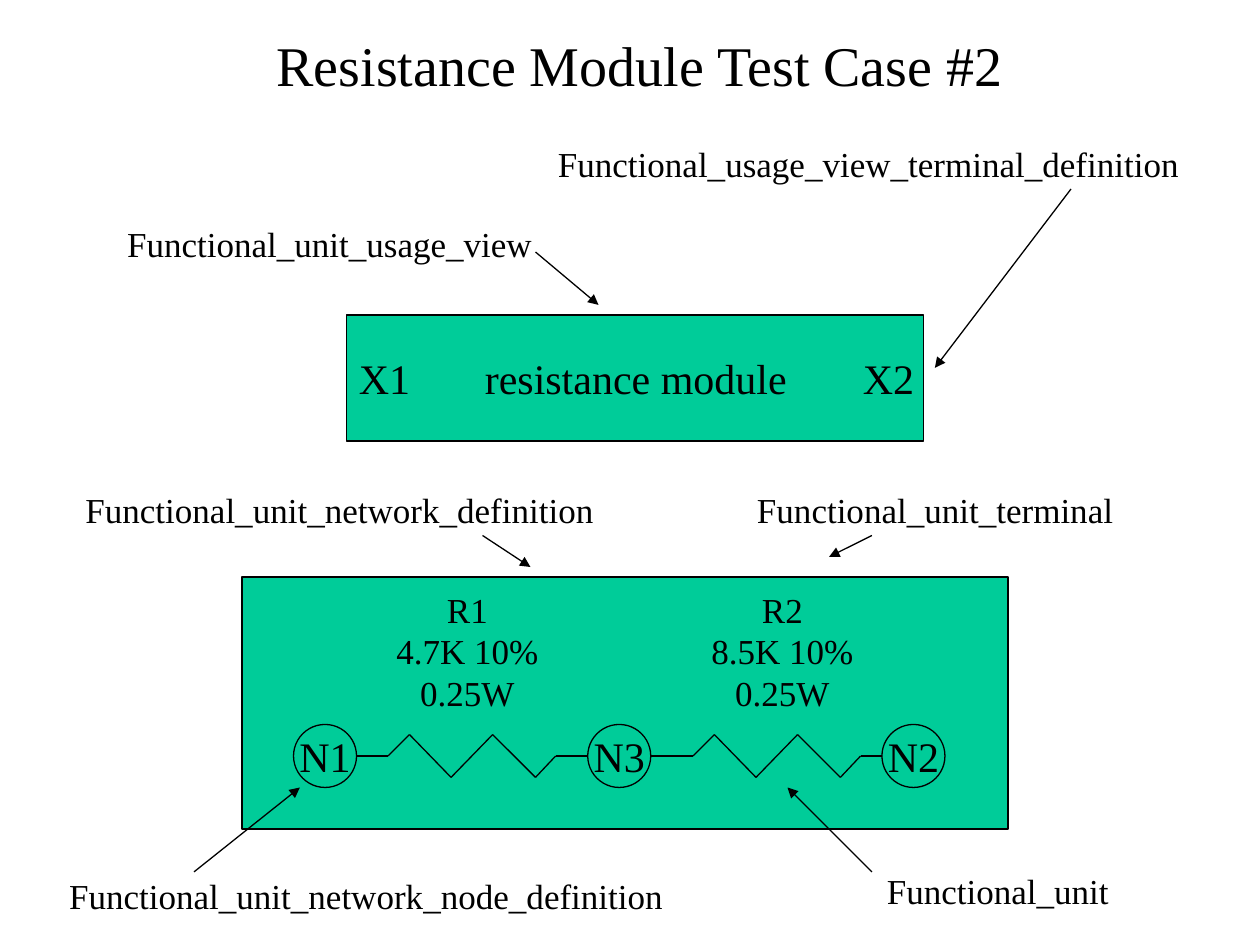
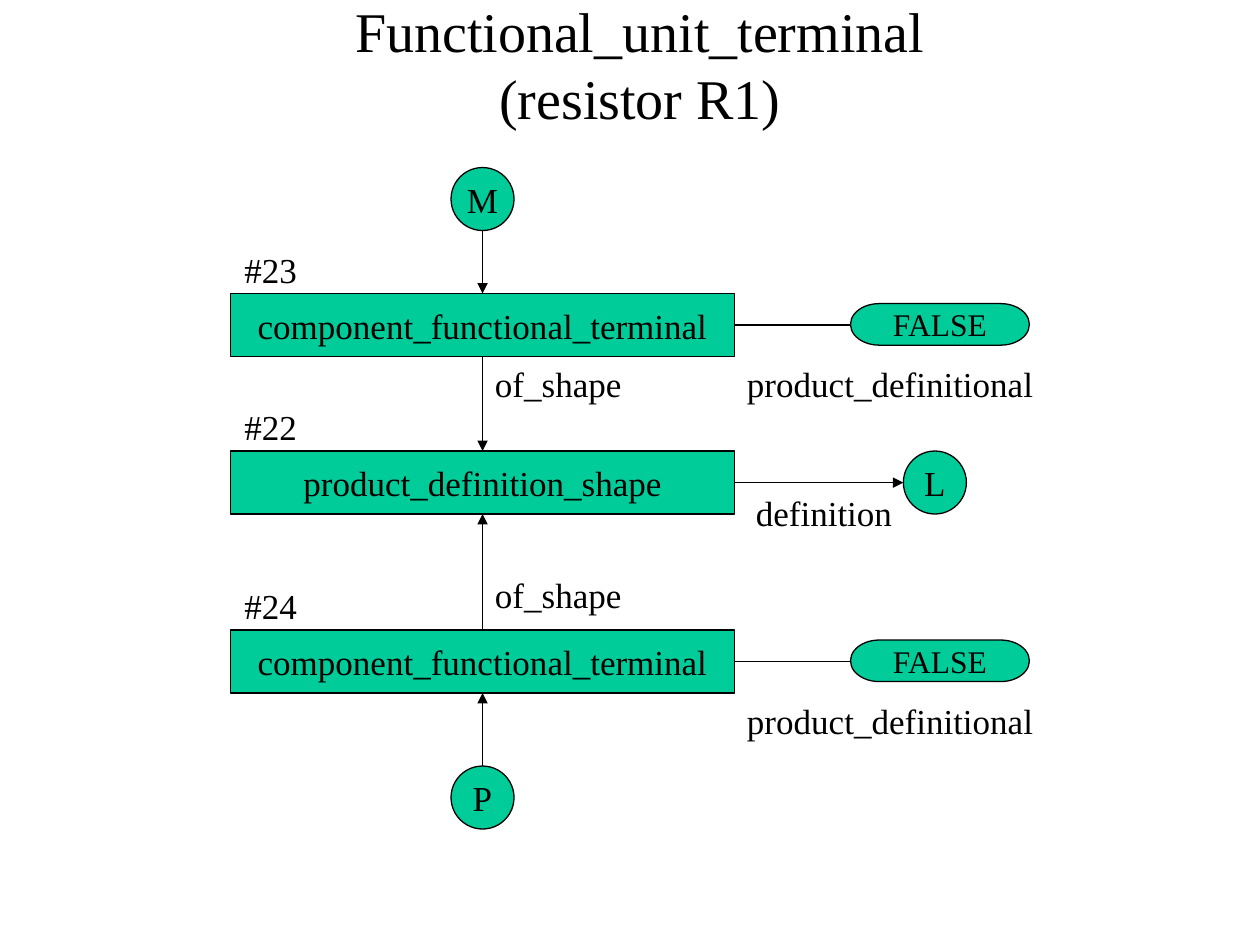
import copy
import itertools

import pptx
import pptx.dml.color
import pptx.enum.shapes
import pptx.enum.text
import pptx.oxml.ns
import pptx.oxml.xmlchemy
import pptx.util
from pptx.util import Inches

HUES = {"ink": "000000", "fill": "00CC99", "page": "FFFFFF"}
FONT = "Times New Roman"
SLACK = 0.04  # keeps a label from breaking at its last letter
KINDS = pptx.enum.shapes.MSO_SHAPE
ALIGN = pptx.enum.text.PP_ALIGN
FIT = pptx.enum.text.MSO_AUTO_SIZE
MIDDLE = pptx.enum.text.MSO_ANCHOR.MIDDLE
TOP = pptx.enum.text.MSO_ANCHOR.TOP


def hue(name):
    return pptx.dml.color.RGBColor.from_string(HUES[name])


def write(frame, text, size=20, align=ALIGN.LEFT, anchor=TOP, wrap=False,
          fit=FIT.NONE, pad=0.05):
    """Fill a text frame with one formatted paragraph."""
    frame.word_wrap = wrap
    frame.auto_size = fit
    frame.vertical_anchor = anchor
    frame.margin_left = frame.margin_right = Inches(0.1)
    frame.margin_top = frame.margin_bottom = Inches(pad)
    line = frame.paragraphs[0]
    line.text = text
    line.alignment = align
    for run in line.runs:
        run.font.name = FONT
        run.font.size = pptx.util.Pt(size)
        run.font.color.rgb = hue("ink")
    # Line breaks take the format of the text around them
    for gap in line._p.findall(pptx.oxml.ns.qn("a:br")):
        gap.insert(0, copy.deepcopy(line.runs[0]._r.rPr))


class Deck:
    """Shared style and the slide being drawn."""

    def __init__(self):
        self.show = pptx.Presentation()
        self.show.slide_width = Inches(10)
        self.show.slide_height = Inches(7.5)
        self.slide = None

    def start(self, title):
        self.slide = self.show.slides.add_slide(self.show.slide_layouts[5])
        back = self.slide.background.fill
        back.solid()
        back.fore_color.rgb = hue("page")
        head = self.slide.shapes.title
        head.left, head.top = Inches(0.83), Inches(0.17)
        head.width, head.height = Inches(8.5), Inches(0.67)
        write(head.text_frame, title, size=32, align=ALIGN.CENTER,
              anchor=MIDDLE, wrap=True)

    def block(self, kind, left, top, width, height, text="", size=20):
        shape = self.slide.shapes.add_shape(
            kind, Inches(left), Inches(top), Inches(width), Inches(height))
        shape.shadow.inherit = False
        shape.fill.solid()
        shape.fill.fore_color.rgb = hue("fill")
        shape.line.color.rgb = hue("ink")
        shape.line.width = pptx.util.Pt(0.75)
        if text:
            write(shape.text_frame, text, size=size, align=ALIGN.CENTER,
                  anchor=MIDDLE)

    def node(self, left, top, text, size=20):
        self.block(KINDS.FLOWCHART_CONNECTOR, left, top, 0.5, 0.5, text, size)

    def label(self, text, left, top, width, height=0.44, **style):
        if not style.get("wrap"):
            width += SLACK
        box = self.slide.shapes.add_textbox(
            Inches(left), Inches(top), Inches(width), Inches(height))
        write(box.text_frame, text, **{"fit": FIT.SHAPE_TO_FIT_TEXT, **style})

    def line(self, start, end, arrow=False):
        link = self.slide.shapes.add_connector(
            pptx.enum.shapes.MSO_CONNECTOR.STRAIGHT,
            *map(Inches, (*start, *end)))
        link.line.color.rgb = hue("ink")
        link.line.width = pptx.util.Pt(0.75)
        props = link._element.spPr
        if arrow:
            tip = pptx.oxml.xmlchemy.OxmlElement("a:tailEnd")
            tip.set("type", "triangle")
            props.find(pptx.oxml.ns.qn("a:ln")).append(tip)
        props.append(pptx.oxml.xmlchemy.OxmlElement("a:effectLst"))

    def arrow(self, start, end):
        self.line(start, end, arrow=True)

    def coil(self, left, first, right):
        """Resistor with leads; its zigzag begins at first."""
        steps = ((0, 6), (0.17, 5.83), (0.5, 6.17),
                 (0.83, 5.83), (1.17, 6.17), (1.33, 6))
        points = [(left, 6), *((first + x, y) for x, y in steps), (right, 6)]
        for start, end in itertools.pairwise(points):
            self.line(start, end)


def draw_module(deck):
    deck.start("Resistance Module Test Case #2")

    # Module seen from outside
    deck.block(KINDS.RECTANGLE, 2.75, 2.5, 4.58, 1)
    deck.label("X1", 2.75, 2.75, 0.92, 0.5, size=24, wrap=True)
    deck.label("X2", 6.75, 2.75, 0.67, 0.5, size=24, wrap=True)
    deck.label("resistance module", 3.75, 2.75, 2.59, 0.5, size=24)

    # Network inside the module
    deck.block(KINDS.RECTANGLE, 1.92, 4.58, 6.08, 2)
    for index, name in enumerate(("N1", "N3", "N2")):
        deck.node(2.33 + index * 2.335, 5.75, name, size=24)
    deck.coil(2.83, 3.08, 4.67)
    deck.coil(5.17, 5.5, 7)

    # Resistor values
    parts = ((3.71, ("R1", "4.7K 10%", "0.25W")),
             (6.21, ("R2", "8.5K 10%", "0.25W")))
    for mid, rows in parts:
        for index, (text, width) in enumerate(zip(rows, (0.73, 1.58, 1.33))):
            deck.label(text, mid - width / 2, 4.67 + index * 0.33, width, 0.33,
                       align=ALIGN.CENTER, wrap=True, pad=0)

    # Captions, each with its arrow
    notes = (
        ("Functional_unit_usage_view", 0.91, 1.72, 3.41,
         (4.25, 2), (4.75, 2.42)),
        ("Functional_unit_network_definition", 0.58, 3.83, 4.23,
         (3.83, 4.25), (4.21, 4.5)),
        ("Functional_unit_network_node_definition", 0.45, 6.89, 4.91,
         (1.54, 6.92), (2.38, 6.25)),
        ("Functional_unit_terminal", 5.91, 3.83, 3.03,
         (6.92, 4.25), (6.58, 4.42)),
        ("Functional_unit", 6.94, 6.85, 1.96,
         (6.92, 6.92), (6.25, 6.25)),
        ("Functional_usage_view_terminal_definition", 4.33, 1.08, 5.13,
         (8.5, 1.5), (7.42, 2.92)),
    )
    for text, left, top, width, start, end in notes:
        deck.label(text, left, top, width)
        deck.arrow(start, end)


def draw_terms(deck):
    deck.start("Functional_unit_terminal\v(resistor R1)")
    mid, edge = 3.83, 5.83

    # Numbered entities
    for text, tag, top in (("component_functional_terminal", "#23", 2.33),
                           ("product_definition_shape", "#22", 3.58),
                           ("component_functional_terminal", "#24", 5)):
        deck.block(KINDS.RECTANGLE, 1.83, top, 4, 0.5, text)
        deck.label(tag, 1.84, top - 0.41, 0.61)

    # Flags on the two terminals
    for top in (2.33, 5):
        deck.block(KINDS.FLOWCHART_TERMINATOR, 6.75, top + 0.08, 1.42, 0.33,
                   "FALSE", 18)
        deck.line((edge, top + 0.25), (6.75, top + 0.25))
        deck.label("product_definitional", edge, top + 0.5, 2.47)

    # Links to other pages
    deck.node(3.58, 1.33, "M")
    deck.node(3.58, 6.08, "P")
    deck.node(7.17, 3.58, "L")
    deck.arrow((edge, 3.83), (7.17, 3.83))
    deck.label("definition", 5.9, 3.85, 1.28)

    # Arrows down and up the middle
    for start, end in ((1.83, 2.33), (2.83, 3.58), (5, 4.08), (6.08, 5.5)):
        deck.arrow((mid, start), (mid, end))
    for top in (2.83, 4.5):
        deck.label("of_shape", mid, top, 1.2)


def main():
    deck = Deck()
    draw_module(deck)
    draw_terms(deck)
    deck.show.save("out.pptx")


if __name__ == "__main__":
    main()
